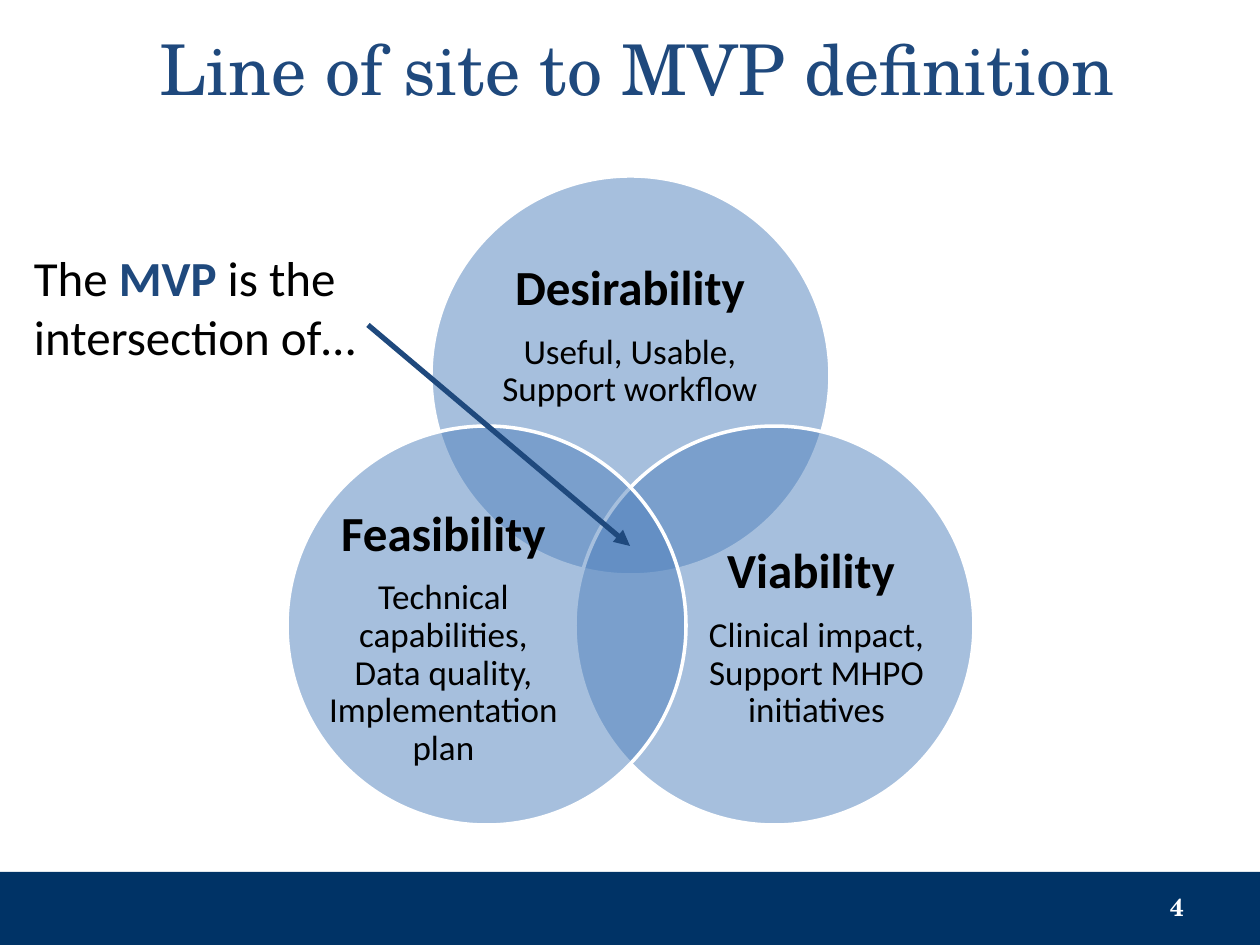
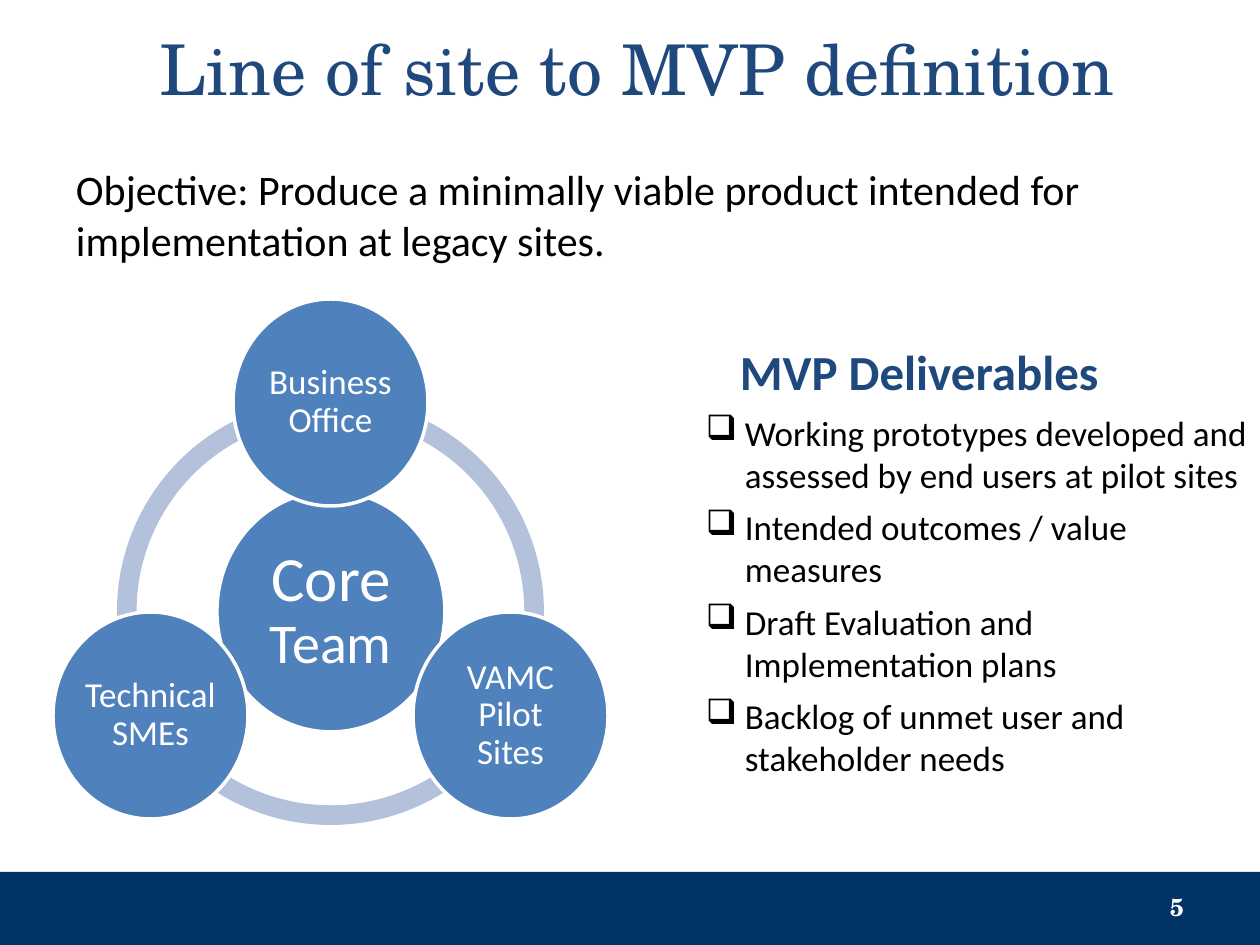
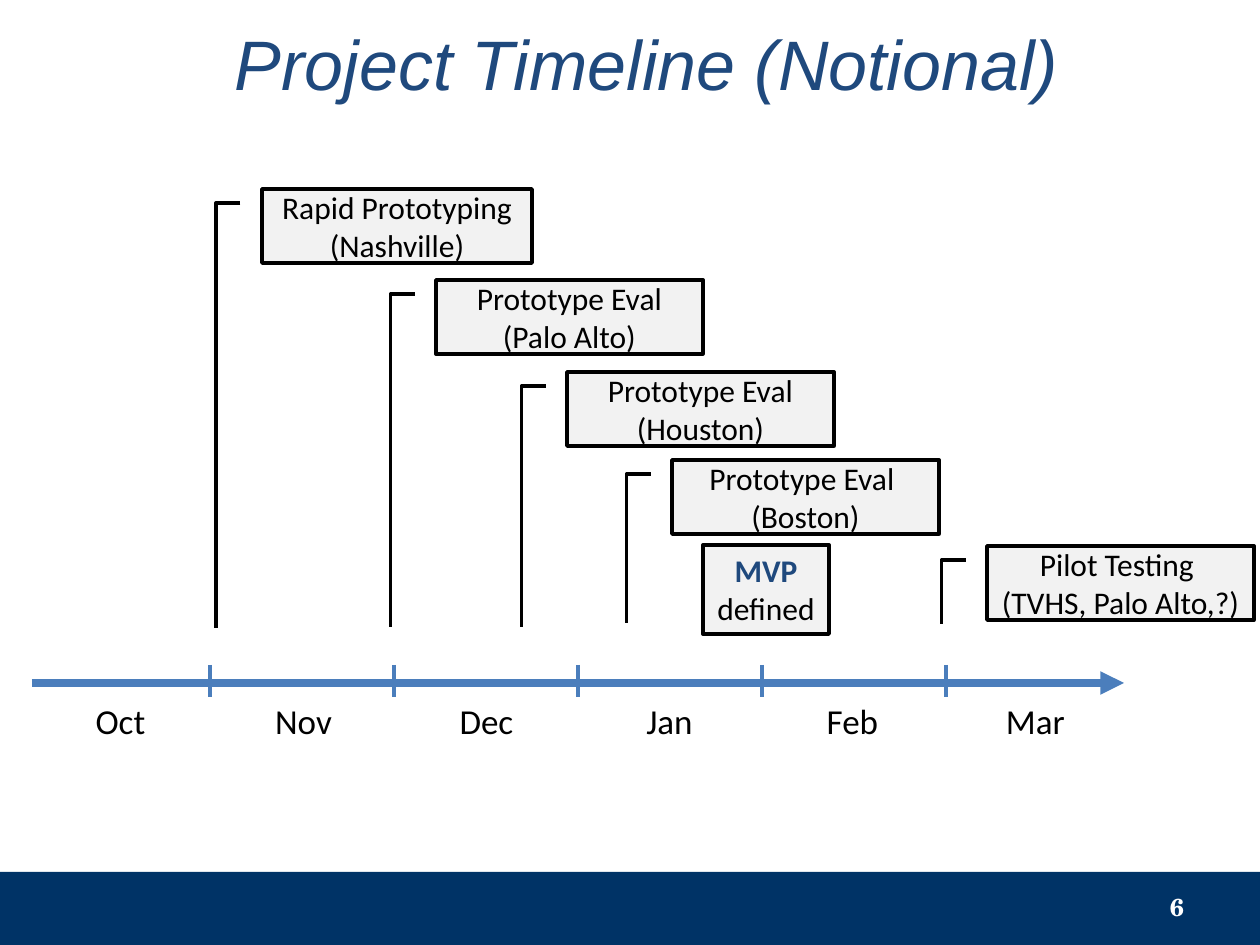
from collections.abc import Sequence
from dataclasses import dataclass

from lxml.etree import SubElement
from pptx import Presentation
from pptx.dml.color import RGBColor
from pptx.enum.shapes import MSO_CONNECTOR, MSO_SHAPE
from pptx.enum.text import MSO_ANCHOR as Anchor
from pptx.enum.text import MSO_AUTO_SIZE, PP_ALIGN as Align
from pptx.oxml.ns import qn
from pptx.util import Emu, Pt

PX_PER_INCH = 126
NAVY, TITLE_BLUE, CIRCLE_BLUE = "003366", "1F497D", "4F81BD"
AXIS_BLUE, RING_BLUE = "4B7EBC", "B3C1DB"
BLACK, WHITE, PALE_GREY = "000000", "FFFFFF", "F2F2F2"
SERIF, BODY = "TeX Gyre Schola", "Calibri"
TEXT_INSETS = (13, 6)


@dataclass(frozen=True)
class Box:
    left: int
    top: int
    width: int
    height: int

    def emu(self) -> tuple[Emu, ...]:
        return tuple(px(n) for n in (self.left, self.top, self.width, self.height))


@dataclass(frozen=True)
class Run:
    text: str
    size: int
    color: str = BLACK
    bold: bool = False
    italic: bool = False
    font: str = BODY


@dataclass(frozen=True)
class VennSet:
    circle: Box
    caption: Box
    heading: str
    details: str


@dataclass(frozen=True)
class Phase:
    box: Box
    label: str
    line_end: int


VENN_SETS = [
    VennSet(Box(431, 176, 399, 399), Box(484, 247, 292, 179),
            "Desirability", "Useful, Usable, Support workflow"),
    VennSet(Box(575, 426, 399, 399), Box(697, 529, 239, 219),
            "Viability ", "Clinical impact, Support MHPO initiatives"),
    VennSet(Box(287, 426, 399, 399), Box(324, 529, 239, 219),
            "Feasibility",
            "Technical capabilities, Data quality, Implementation plan"),
]

TEAM_RING = Box(117, 398, 427, 427)
# The first arc starts one degree early so that no seam shows at the bottom.
RING_ANGLES = [(89, 162), (18, 90), (162, 18)]
CORE_TEAM = Box(217, 491, 228, 241)
PARTNERS = [
    (Box(233, 299, 195, 207), "Business Office"),
    (Box(413, 612, 195, 207), "VAMC Pilot Sites"),
    (Box(53, 612, 195, 207), "Technical SMEs"),
]
DELIVERABLES = [
    "Working prototypes developed and assessed by end users at pilot sites",
    "Intended outcomes / value measures",
    "Draft Evaluation and Implementation plans",
    "Backlog of unmet user and stakeholder needs",
]

MONTHS = ["Oct", "Nov", "Dec", "Jan", "Feb", "Mar"]
PHASES = [
    Phase(Box(262, 189, 270, 74), "Rapid Prototyping (Nashville)", 628),
    Phase(Box(436, 280, 267, 74), "Prototype Eval (Palo Alto)", 627),
    Phase(Box(567, 372, 267, 74), "Prototype Eval (Houston)", 627),
    Phase(Box(672, 460, 267, 74), "Prototype Eval \n(Boston)", 623),
    Phase(Box(987, 546, 267, 74), "Pilot Testing \n(TVHS, Palo Alto,?)", 624),
]


def px(length: float) -> Emu:
    return Emu(round(length * 914400 / PX_PER_INCH))


def rgb(color: str) -> RGBColor:
    return RGBColor.from_string(color)


def write(frame, paragraphs: Sequence[Sequence[Run]], align=Align.LEFT,
          anchor=Anchor.TOP, insets: tuple[int, int] = TEXT_INSETS,
          line_spacing: float = 1.0, space_after: int = 0) -> None:
    frame.word_wrap = True
    frame.auto_size = MSO_AUTO_SIZE.NONE
    frame.vertical_anchor = anchor
    frame.margin_left = frame.margin_right = px(insets[0])
    frame.margin_top = frame.margin_bottom = px(insets[1])
    frame.text = "\n" * (len(paragraphs) - 1)
    for paragraph, runs in zip(frame.paragraphs, paragraphs):
        paragraph.alignment = align
        paragraph.line_spacing = line_spacing
        paragraph.space_before = Pt(0)
        paragraph.space_after = Pt(space_after)
        for content in runs:
            run = paragraph.add_run()
            run.text = content.text
            run.font.name = content.font
            run.font.size = Pt(content.size)
            run.font.bold = content.bold
            run.font.italic = content.italic
            run.font.color.rgb = rgb(content.color)


def add_text(slide, box: Box, paragraphs: Sequence[Sequence[Run]], **layout):
    frame = slide.shapes.add_textbox(*box.emu()).text_frame
    write(frame, paragraphs, **layout)
    return frame


def add_figure(slide, kind, box: Box, fill: str, line: str | None = None,
               line_width: float = 2, opacity: int = 100):
    figure = slide.shapes.add_shape(kind, *box.emu())
    figure.shadow.inherit = False
    figure.fill.solid()
    figure.fill.fore_color.rgb = rgb(fill)
    if opacity < 100:
        color = figure.fill._xPr.find(qn("a:solidFill"))[0]
        SubElement(color, qn("a:alpha"), val=str(opacity * 1000))
    if line:
        figure.line.color.rgb = rgb(line)
        figure.line.width = Pt(line_width)
    else:
        figure.line.fill.background()
    return figure


def add_line(slide, start: tuple[int, int], end: tuple[int, int], color: str,
             width: float, arrow: bool = False) -> None:
    line = slide.shapes.add_connector(
        MSO_CONNECTOR.STRAIGHT, *(px(n) for n in (*start, *end)))
    line.line.color.rgb = rgb(color)
    line.line.width = Pt(width)
    if arrow:
        SubElement(line.line._get_or_add_ln(), qn("a:tailEnd"), type="triangle")
    SubElement(line._element.spPr, qn("a:effectLst"))


def add_slide(deck, number: int, title: Run, title_box: Box, align=Align.LEFT):
    """Add a title-only slide with the footer band and its number."""
    slide = deck.slides.add_slide(deck.slide_layouts[5])
    heading = slide.shapes.title
    heading.left, heading.top, heading.width, heading.height = title_box.emu()
    write(heading.text_frame, [[title]], align=align, anchor=Anchor.MIDDLE)
    add_figure(slide, MSO_SHAPE.RECTANGLE, Box(0, 872, 1260, 73), NAVY)
    add_text(slide, Box(903, 882, 294, 50),
             [[Run(str(number), 14, WHITE, bold=True, font=SERIF)]],
             align=Align.RIGHT, anchor=Anchor.MIDDLE)
    return slide


def add_mvp_slide(deck, number: int):
    title = Run("Line of site to MVP definition", 40, TITLE_BLUE, font=SERIF)
    return add_slide(deck, number, title, Box(147, 15, 998, 105))


def build_intersection(deck) -> None:
    slide = add_mvp_slide(deck, 4)
    for venn_set in VENN_SETS:
        add_figure(slide, MSO_SHAPE.OVAL, venn_set.circle, CIRCLE_BLUE, WHITE,
                   opacity=50)
        add_text(slide, venn_set.caption,
                 [[Run(venn_set.heading, 28, bold=True)],
                  [Run(venn_set.details, 20)]],
                 align=Align.CENTER, anchor=Anchor.MIDDLE, insets=(0, 0),
                 line_spacing=0.9, space_after=10)
    add_text(slide, Box(21, 242, 388, 131),
             [[Run("The ", 28), Run("MVP", 28, TITLE_BLUE, bold=True),
               Run(" is the intersection of…", 28)]])
    add_line(slide, (368, 325), (630, 546), TITLE_BLUE, 3, arrow=True)


def add_team(slide, circle: Box, name: Sequence[Run]) -> None:
    team = add_figure(slide, MSO_SHAPE.OVAL, circle, CIRCLE_BLUE, WHITE)
    write(team.text_frame, [name], align=Align.CENTER, anchor=Anchor.MIDDLE,
          insets=(1, 4), line_spacing=0.9, space_after=10)


def indent(paragraph, left: int, first_line: int = 0, bullet: str = "") -> None:
    properties = paragraph._p.get_or_add_pPr()
    properties.set("marL", str(px(left)))
    properties.set("indent", str(px(first_line)))
    if bullet:
        SubElement(properties, qn("a:buChar"), char=bullet)


def build_deliverables(deck) -> None:
    slide = add_mvp_slide(deck, 5)
    add_text(slide, Box(63, 158, 1134, 126),
             [[Run("Objective: Produce a minimally viable product intended for "
                   "implementation at legacy sites.", 24)]])

    for start, end in RING_ANGLES:
        arc = add_figure(slide, MSO_SHAPE.BLOCK_ARC, TEAM_RING, RING_BLUE)
        # Angles are stored in 60000ths of a degree, adjustments in 100000ths.
        for index, value in enumerate((start * 0.6, end * 0.6, 0.046)):
            arc.adjustments[index] = value
    add_team(slide, CORE_TEAM, [Run("Core ", 36, WHITE), Run("Team", 32, WHITE)])
    for circle, name in PARTNERS:
        add_team(slide, circle, [Run(name, 20, WHITE)])

    checklist = add_text(
        slide, Box(630, 336, 630, 454),
        [[Run("MVP Deliverables", 28, TITLE_BLUE, bold=True)],
         *([Run(item, 20)] for item in DELIVERABLES)],
        space_after=6)
    heading, *items = checklist.paragraphs
    indent(heading, 97)
    for item in items:
        indent(item, 102, -39, "❑")


def add_phase(slide, phase: Phase) -> None:
    box = phase.box
    callout = add_figure(slide, MSO_SHAPE.LINE_CALLOUT_2, box, PALE_GREY, BLACK)
    drop = (phase.line_end - box.top) / box.height
    for index, value in enumerate((0.19, -0.08, 0.19, -0.17, drop, -0.17)):
        callout.adjustments[index] = value
    write(callout.text_frame,
          [[Run(line, 18)] for line in phase.label.split("\n")],
          align=Align.CENTER, anchor=Anchor.MIDDLE)


def build_timeline(deck) -> None:
    title = Run("Project Timeline (Notional)", 40, TITLE_BLUE, italic=True,
                font="Arial")
    slide = add_slide(deck, 6, title, Box(179, 10, 935, 105), Align.CENTER)
    add_line(slide, (32, 683), (1124, 683), AXIS_BLUE, 4.5, arrow=True)
    for index, month in enumerate(MONTHS):
        add_text(slide, Box(31 + 183 * index, 693, 179, 55), [[Run(month, 20)]],
                 align=Align.CENTER)
        if index:
            tick = 26 + 184 * index
            add_line(slide, (tick, 665), (tick, 697), AXIS_BLUE, 2.25)
    for phase in PHASES:
        add_phase(slide, phase)
    milestone = add_figure(slide, MSO_SHAPE.RECTANGLE, Box(703, 545, 126, 89),
                           PALE_GREY, BLACK, 2.25)
    write(milestone.text_frame,
          [[Run("MVP ", 18, TITLE_BLUE, bold=True), Run("defined", 18)]],
          align=Align.CENTER)


def main() -> None:
    deck = Presentation()
    deck.slide_width, deck.slide_height = px(1260), px(945)
    build_intersection(deck)
    build_deliverables(deck)
    build_timeline(deck)
    deck.save("out.pptx")


if __name__ == "__main__":
    main()
